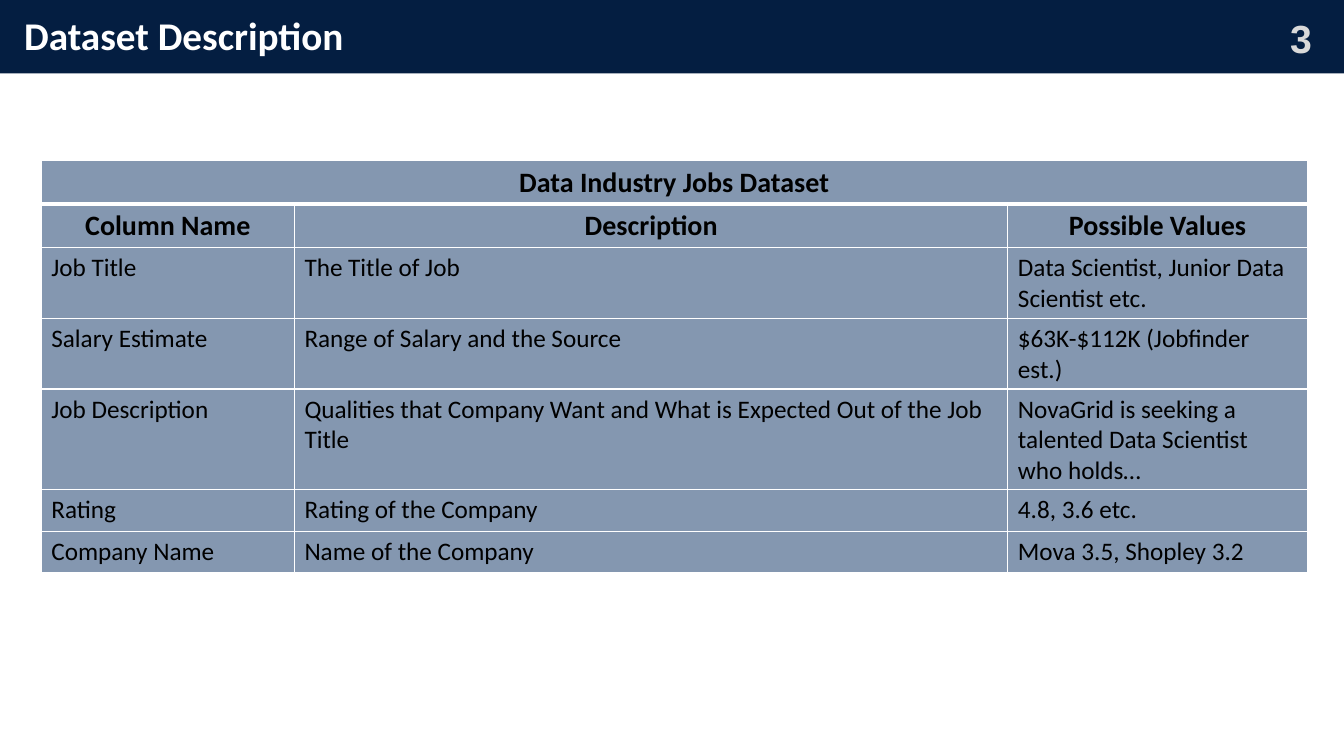
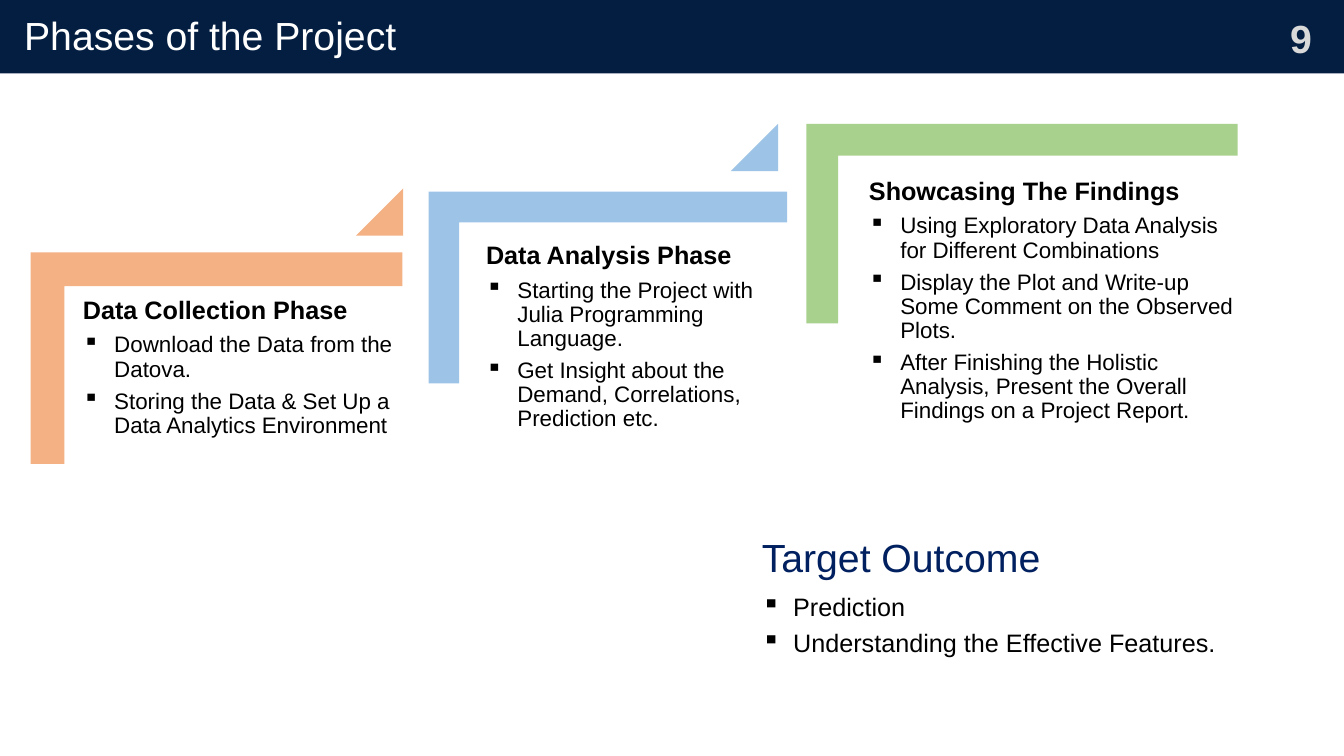
"""Build the dataset description and project phases slides."""

from dataclasses import dataclass

from lxml import etree
from pptx import Presentation
from pptx.dml.color import RGBColor
from pptx.enum.shapes import MSO_SHAPE
from pptx.enum.text import MSO_ANCHOR, PP_ALIGN
from pptx.oxml.ns import qn
from pptx.shapes.autoshape import Shape
from pptx.slide import Slide
from pptx.table import _Cell
from pptx.text.text import _Paragraph
from pptx.util import Cm, Pt

RECTANGLE = MSO_SHAPE.RECTANGLE
TRIANGLE = MSO_SHAPE.ISOSCELES_TRIANGLE
LEFT = PP_ALIGN.LEFT
CENTER = PP_ALIGN.CENTER
TOP = MSO_ANCHOR.TOP
MIDDLE = MSO_ANCHOR.MIDDLE

NAVY = RGBColor(0x04, 0x1E, 0x41)
DEEP_BLUE = RGBColor(0x00, 0x20, 0x60)
SLATE = RGBColor(0x84, 0x97, 0xB0)
LIGHT_GRAY = RGBColor(0xD9, 0xD9, 0xD9)
WHITE = RGBColor(0xFF, 0xFF, 0xFF)
BLACK = RGBColor(0x00, 0x00, 0x00)
ORANGE = RGBColor(0xF4, 0xB1, 0x83)
BLUE = RGBColor(0x9D, 0xC3, 0xE6)
GREEN = RGBColor(0xA9, 0xD1, 0x8E)

SANS = "Arial"
HUMANIST = "Calibri"

SLIDE_WIDTH = 33.87
SLIDE_HEIGHT = 19.05
BAND_HEIGHT = 1.85
TRIANGLE_SIDE = 1.19
CORNER_THICKNESS = 0.16
BULLET_INDENT = Cm(0.79)
LINE_SPACING = 0.9
SPACE_AFTER_SHARE = 0.35
THIN_BORDER = Pt(1)
THICK_BORDER = Pt(3)

TABLE_TITLE = "Data Industry Jobs Dataset"
COLUMN_WIDTHS = (6.38, 17.98, 7.54)
ROW_HEIGHT = 1.04
TABLE_ROWS = (
    (TABLE_TITLE, "", ""),
    ("Column Name", "Description", "Possible Values"),
    ("Job Title", "The Title of Job", "Data Scientist, Junior Data Scientist etc."),
    ("Salary Estimate", "Range of Salary and the Source", "$63K-$112K (Jobfinder est.)"),
    (
        "Job Description",
        "Qualities that Company Want and What is Expected Out of the Job Title",
        "NovaGrid is seeking a talented Data Scientist who holds…",
    ),
    ("Rating", "Rating of the Company", "4.8, 3.6 etc."),
    ("Company Name", "Name of the Company", "Mova 3.5, Shopley 3.2"),
)
HEADER_ROWS = 2


@dataclass(frozen=True)
class Box:
    """A rectangle on the slide, in centimetres."""

    left: float
    top: float
    width: float
    height: float

    def lengths(self) -> tuple[Cm, Cm, Cm, Cm]:
        """Return the four measures as lengths."""
        return Cm(self.left), Cm(self.top), Cm(self.width), Cm(self.height)


@dataclass(frozen=True)
class BulletList:
    """A heading with bulleted lines below it."""

    box: Box
    heading: str
    items: tuple[str, ...]
    heading_size: int = 18
    item_size: int = 16
    heading_color: RGBColor = BLACK
    heading_bold: bool = True


@dataclass(frozen=True)
class Phase:
    """One step of the project staircase."""

    color: RGBColor
    corner: Box
    content: BulletList
    triangle: tuple[float, float] | None = None


PHASES = (
    Phase(
        ORANGE,
        Box(0.77, 6.36, 9.37, 5.33),
        BulletList(
            Box(1.91, 7.32, 8.38, 8),
            "Data Collection Phase",
            (
                "Download the Data from the Datova.",
                "Storing the Data & Set Up a Data Analytics Environment",
            ),
        ),
        (8.97, 4.75),
    ),
    Phase(
        BLUE,
        Box(10.8, 4.83, 9.04, 4.83),
        BulletList(
            Box(12.07, 5.94, 7.85, 6.27),
            "Data Analysis Phase",
            (
                "Starting the Project with Julia Programming Language.",
                "Get Insight about the Demand, Correlations, Prediction etc.",
            ),
        ),
        (18.42, 3.12),
    ),
    Phase(
        GREEN,
        Box(20.32, 3.12, 10.87, 5.03),
        BulletList(
            Box(21.72, 4.32, 9.83, 7.37),
            "Showcasing The Findings",
            (
                "Using Exploratory Data Analysis for Different Combinations",
                "Display the Plot and Write-up Some Comment on the Observed Plots.",
                "After Finishing the Holistic Analysis, Present the Overall Findings on a Project Report.",
            ),
        ),
    ),
)

TARGET_OUTCOME = BulletList(
    Box(19.02, 13.39, 12.19, 3),
    "Target Outcome",
    ("Prediction", "Understanding the Effective Features."),
    heading_size=28,
    item_size=18,
    heading_color=DEEP_BLUE,
    heading_bold=False,
)


def write_text(
    paragraph: _Paragraph,
    text: str,
    *,
    size: int,
    font: str = SANS,
    color: RGBColor = BLACK,
    bold: bool = False,
    align: PP_ALIGN = LEFT,
    line_spacing: float = 1.0,
    space_after: float = 0,
    bullet: str = "",
) -> None:
    """Write formatted text into a paragraph."""
    paragraph.alignment = align
    paragraph.line_spacing = line_spacing
    paragraph.space_after = Pt(space_after)
    run = paragraph.add_run()
    run.text = text
    run.font.name = font
    run.font.size = Pt(size)
    run.font.bold = bold
    run.font.color.rgb = color
    if bullet:
        properties = paragraph._p.get_or_add_pPr()
        properties.set("marL", str(BULLET_INDENT))
        properties.set("indent", str(-BULLET_INDENT))
        etree.SubElement(properties, qn("a:buChar")).set("char", bullet)


def paint(shape: Shape, color: RGBColor) -> None:
    """Fill a shape and remove its outline and shadow."""
    shape.shadow.inherit = False
    shape.fill.solid()
    shape.fill.fore_color.rgb = color
    shape.line.fill.background()


def add_filled_shape(slide: Slide, kind: MSO_SHAPE, box: Box, color: RGBColor) -> Shape:
    """Add a plain preset shape."""
    shape = slide.shapes.add_shape(kind, *box.lengths())
    paint(shape, color)
    return shape


def add_corner(slide: Slide, box: Box, color: RGBColor) -> None:
    """Add a bracket along the left and top sides of a box."""
    left, top, width, height = box.lengths()
    right, bottom = left + width, top + height
    thickness = round(min(width, height) * CORNER_THICKNESS)
    inner_left, inner_top = left + thickness, top + thickness
    builder = slide.shapes.build_freeform(left, top)
    builder.add_line_segments((
        (right, top), (right, inner_top), (inner_left, inner_top),
        (inner_left, bottom), (left, bottom),
    ))
    paint(builder.convert_to_shape(), color)


def add_text_box(slide: Slide, box: Box, anchor: MSO_ANCHOR = MIDDLE) -> Shape:
    """Add an empty wrapping text box."""
    shape = slide.shapes.add_textbox(*box.lengths())
    shape.text_frame.word_wrap = True
    shape.text_frame.vertical_anchor = anchor
    return shape


def add_header(slide: Slide, title: str, number: int, font: str, bold: bool) -> None:
    """Add the top band with the title and the slide number."""
    add_filled_shape(slide, RECTANGLE, Box(0, 0, SLIDE_WIDTH, BAND_HEIGHT), NAVY)
    number_box = add_text_box(slide, Box(31.72, 0.23, 2.13, 1.45))
    write_text(number_box.text_frame.paragraphs[0], str(number),
               size=28, color=LIGHT_GRAY, bold=True, align=CENTER)
    title_box = add_text_box(slide, Box(0.36, 0.28, 31.42, 1.35))
    write_text(title_box.text_frame.paragraphs[0], title, size=28, font=font,
               color=WHITE, bold=bold, line_spacing=LINE_SPACING)


def add_bullet_list(slide: Slide, content: BulletList) -> None:
    """Add a heading and its bullets in one text box."""
    frame = add_text_box(slide, content.box, TOP).text_frame
    frame.margin_left = frame.margin_right = Cm(0.18)
    frame.margin_top = frame.margin_bottom = Cm(0.18)
    write_text(frame.paragraphs[0], content.heading, size=content.heading_size,
               color=content.heading_color, bold=content.heading_bold,
               line_spacing=LINE_SPACING,
               space_after=content.heading_size * SPACE_AFTER_SHARE)
    for item in content.items:
        write_text(frame.add_paragraph(), item, size=content.item_size,
                   line_spacing=LINE_SPACING, bullet="▪",
                   space_after=content.item_size * SPACE_AFTER_SHARE)


def add_phase(slide: Slide, phase: Phase) -> None:
    """Add a corner bracket, its text and the triangle leading upwards."""
    add_corner(slide, phase.corner, phase.color)
    add_bullet_list(slide, phase.content)
    if phase.triangle:
        box = Box(*phase.triangle, TRIANGLE_SIDE, TRIANGLE_SIDE)
        add_filled_shape(slide, TRIANGLE, box, phase.color).adjustments[0] = 1


def style_cell(cell: _Cell, top: Pt, bottom: Pt) -> None:
    """Give a cell white borders and the slate fill."""
    properties = cell._tc.get_or_add_tcPr()
    widths = {"lnL": THIN_BORDER, "lnR": THIN_BORDER, "lnT": top, "lnB": bottom}
    for side, width in widths.items():
        line = etree.SubElement(properties, qn(f"a:{side}"), w=str(width))
        fill = etree.SubElement(line, qn("a:solidFill"))
        etree.SubElement(fill, qn("a:srgbClr"), val=str(WHITE))
    cell.fill.solid()
    cell.fill.fore_color.rgb = SLATE


def add_dataset_table(slide: Slide) -> None:
    """Add the table that describes the dataset columns."""
    box = Box(1.04, 4.04, sum(COLUMN_WIDTHS), ROW_HEIGHT * len(TABLE_ROWS))
    table = slide.shapes.add_table(len(TABLE_ROWS), len(COLUMN_WIDTHS), *box.lengths()).table
    table.first_row = table.horz_banding = False
    for column, width in zip(table.columns, COLUMN_WIDTHS):
        column.width = Cm(width)
    for row_index, values in enumerate(TABLE_ROWS):
        is_header = row_index < HEADER_ROWS
        for column_index, value in enumerate(values):
            cell = table.cell(row_index, column_index)
            style_cell(cell, THICK_BORDER if row_index == 1 else THIN_BORDER,
                       THICK_BORDER if row_index == 0 else THIN_BORDER)
            if value:
                write_text(cell.text_frame.paragraphs[0], value, font=HUMANIST,
                           size=20 if is_header else 18, bold=is_header,
                           align=CENTER if is_header else LEFT)
    table.cell(0, 0).merge(table.cell(0, len(COLUMN_WIDTHS) - 1))


def main() -> None:
    """Create and save the presentation."""
    presentation = Presentation()
    presentation.slide_width, presentation.slide_height = Cm(SLIDE_WIDTH), Cm(SLIDE_HEIGHT)
    blank = presentation.slide_layouts[6]
    dataset_slide = presentation.slides.add_slide(blank)
    add_header(dataset_slide, "Dataset Description", 3, HUMANIST, True)
    add_dataset_table(dataset_slide)
    phases_slide = presentation.slides.add_slide(blank)
    add_header(phases_slide, "Phases of the Project", 9, SANS, False)
    for phase in PHASES:
        add_phase(phases_slide, phase)
    add_bullet_list(phases_slide, TARGET_OUTCOME)
    presentation.save("out.pptx")


if __name__ == "__main__":
    main()
